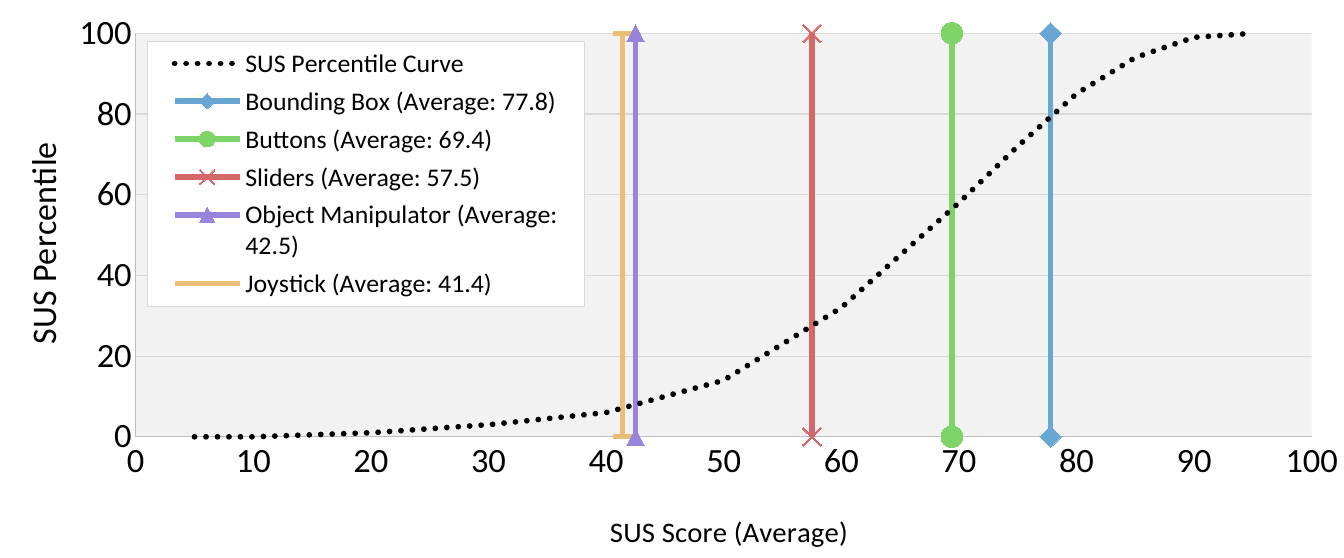
import dataclasses

import lxml.etree
import pptx
import pptx.chart.data
import pptx.dml.color
import pptx.enum.chart
import pptx.enum.dml
import pptx.oxml.ns
import pptx.util

Inches = pptx.util.Inches
Pt = pptx.util.Pt
qn = pptx.oxml.ns.qn
Marker = pptx.enum.chart.XL_MARKER_STYLE


@dataclasses.dataclass(frozen=True)
class Theme:
    font: str = "Calibri"
    text: str = "000000"
    axis: str = "BFBFBF"
    grid: str = "D9D9D9"
    plot: str = "F2F2F2"
    paper: str = "FFFFFF"
    tick_size: int = 24
    score_title_size: int = 20
    percentile_title_size: int = 24
    legend_size: int = 18
    hairline: float = 0.75
    series_line: float = 4


CURVE = [(5, 0), (10, 0), (20, 1), (30, 3), (40, 6), (50, 14), (60, 32),
         (65, 45), (70, 58), (75, 72), (80, 85), (85, 94), (90, 99), (95, 100)]

TECHNIQUES = [
    ("Bounding Box", 77.8, "68A7D4", Marker.DIAMOND, 15),
    ("Buttons", 69.4, "7FD468", Marker.CIRCLE, 15),
    ("Sliders", 57.5, "D46868", Marker.X, 13),
    ("Object Manipulator", 42.5, "9884DB", Marker.TRIANGLE, 12),
    ("Joystick", 41.4, "EABE76", Marker.DASH, 13),
]


class ScorePage:
    def __init__(self, deck, theme):
        self.theme = theme
        self.page = deck.slides.add_slide(deck.slide_layouts[6])

    def color(self, value):
        return pptx.dml.color.RGBColor.from_string(value)

    def style_font(self, font, size):
        font.name = self.theme.font
        font.size = Pt(size)
        font.bold = False
        font.color.rgb = self.color(self.theme.text)

    def style_line(self, line, color, width):
        line.color.rgb = self.color(color)
        line.width = Pt(width)

    def child(self, parent, tag, **attributes):
        element = lxml.etree.SubElement(parent, qn(tag))
        for name, value in attributes.items():
            element.set(name, str(value))
        return element

    def place(self, element, after, inner=False, **edges):
        old = element.find(qn("c:layout"))
        if old is not None:
            element.remove(old)
        layout = element.makeelement(qn("c:layout"))
        manual = self.child(layout, "c:manualLayout")
        if inner:
            self.child(manual, "c:layoutTarget", val="inner")
        for name in ("x", "y"):
            self.child(manual, f"c:{name}Mode", val="edge")
        for name, value in edges.items():
            self.child(manual, f"c:{name}", val=value)
        if after:
            element.find(qn(after)).addnext(layout)
        else:
            element.insert(0, layout)

    def area(self, fill, border=None):
        shape = lxml.etree.Element(qn("c:spPr"), nsmap={"a": pptx.oxml.ns.nsuri("a")})
        solid = self.child(shape, "a:solidFill")
        self.child(solid, "a:srgbClr", val=fill)
        line = self.child(shape, "a:ln", w=Pt(self.theme.hairline))
        if border:
            solid = self.child(line, "a:solidFill")
            self.child(solid, "a:srgbClr", val=border)
        else:
            self.child(line, "a:noFill")
        return shape

    def chart(self, data, left, top, width, height):
        frame = self.page.shapes.add_chart(
            pptx.enum.chart.XL_CHART_TYPE.XY_SCATTER_SMOOTH_NO_MARKERS,
            Inches(left), Inches(top), Inches(width), Inches(height), data)
        chart = frame.chart
        chart.has_title = False
        self.style_font(chart.font, self.theme.score_title_size)
        chart.plots[0].vary_by_categories = False
        return chart

    def axis(self, axis, title, size, step, x, y, turned=False):
        axis.minimum_scale, axis.maximum_scale = 0, 100
        axis.major_unit = step
        axis.major_tick_mark = axis.minor_tick_mark = pptx.enum.chart.XL_TICK_MARK.NONE
        axis.tick_labels.number_format = "General"
        axis.tick_labels.number_format_is_linked = False
        self.style_font(axis.tick_labels.font, self.theme.tick_size)
        self.style_line(axis.format.line, self.theme.axis, self.theme.hairline)
        axis.has_major_gridlines = turned
        if turned:
            self.style_line(axis.major_gridlines.format.line, self.theme.grid, self.theme.hairline)
        frame = axis.axis_title.text_frame
        frame.text = title
        self.style_font(frame.paragraphs[0].runs[0].font, size)
        element = axis.axis_title.element
        body = next(element.iter(qn("a:bodyPr")))
        body.set("rot", "-5400000" if turned else "0")
        body.set("vert", "horz")
        self.place(element, "c:tx", x=x, y=y)

    def plot_area(self, chart, **edges):
        plot = chart.element.find(f".//{qn('c:plotArea')}")
        self.place(plot, None, inner=True, **edges)
        plot.append(self.area(self.theme.plot))

    def legend(self, chart, **edges):
        chart.has_legend = True
        chart.legend.position = pptx.enum.chart.XL_LEGEND_POSITION.TOP
        chart.legend.include_in_layout = False
        self.style_font(chart.legend.font, self.theme.legend_size)
        element = chart.element.find(f".//{qn('c:legend')}")
        self.place(element, "c:legendPos", **edges)
        element.find(qn("c:overlay")).addnext(self.area(self.theme.paper, self.theme.grid))

    def curve(self, chart, series):
        series.smooth = True
        line = series.format.line
        self.style_line(line, self.theme.text, self.theme.series_line)
        line.dash_style = pptx.enum.dml.MSO_LINE.ROUND_DOT
        outline = chart.element.find(f".//{qn('c:ser')}/{qn('c:spPr')}/{qn('a:ln')}")
        outline.set("cap", "rnd")
        series.marker.style = Marker.NONE

    def average(self, series, color, marker, size):
        series.smooth = True
        self.style_line(series.format.line, color, self.theme.series_line)
        series.marker.style = marker
        series.marker.size = size
        series.marker.format.fill.solid()
        series.marker.format.fill.fore_color.rgb = self.color(color)
        self.style_line(series.marker.format.line, color, self.theme.hairline)


def main():
    deck = pptx.Presentation()
    deck.slide_width, deck.slide_height = Inches(13), Inches(5.4)
    theme = Theme()
    page = ScorePage(deck, theme)

    data = pptx.chart.data.XyChartData()
    curve = data.add_series("SUS Percentile Curve")
    for score, percentile in CURVE:
        curve.add_data_point(score, percentile)
    for name, average, *_ in TECHNIQUES:
        series = data.add_series(f"{name} (Average: {average})")
        for percentile in (0, 100):
            series.add_data_point(average, percentile)

    chart = page.chart(data, 0, -0.06, 13, 5.46)
    page.axis(chart.category_axis, "SUS Score (Average)", theme.score_title_size, 10, 0.45, 0.92)
    page.axis(chart.value_axis, "SUS Percentile", theme.percentile_title_size, 20, 0.01, 0.26, True)
    page.plot_area(chart, x=0.101, y=0.071, w=0.875, h=0.725)
    page.legend(chart, x=0.11, y=0.085, w=0.325, h=0.476)

    curve, *averages = chart.plots[0].series
    page.curve(chart, curve)
    for series, (_, _, color, marker, size) in zip(averages, TECHNIQUES):
        page.average(series, color, marker, size)

    deck.save("out.pptx")


main()
